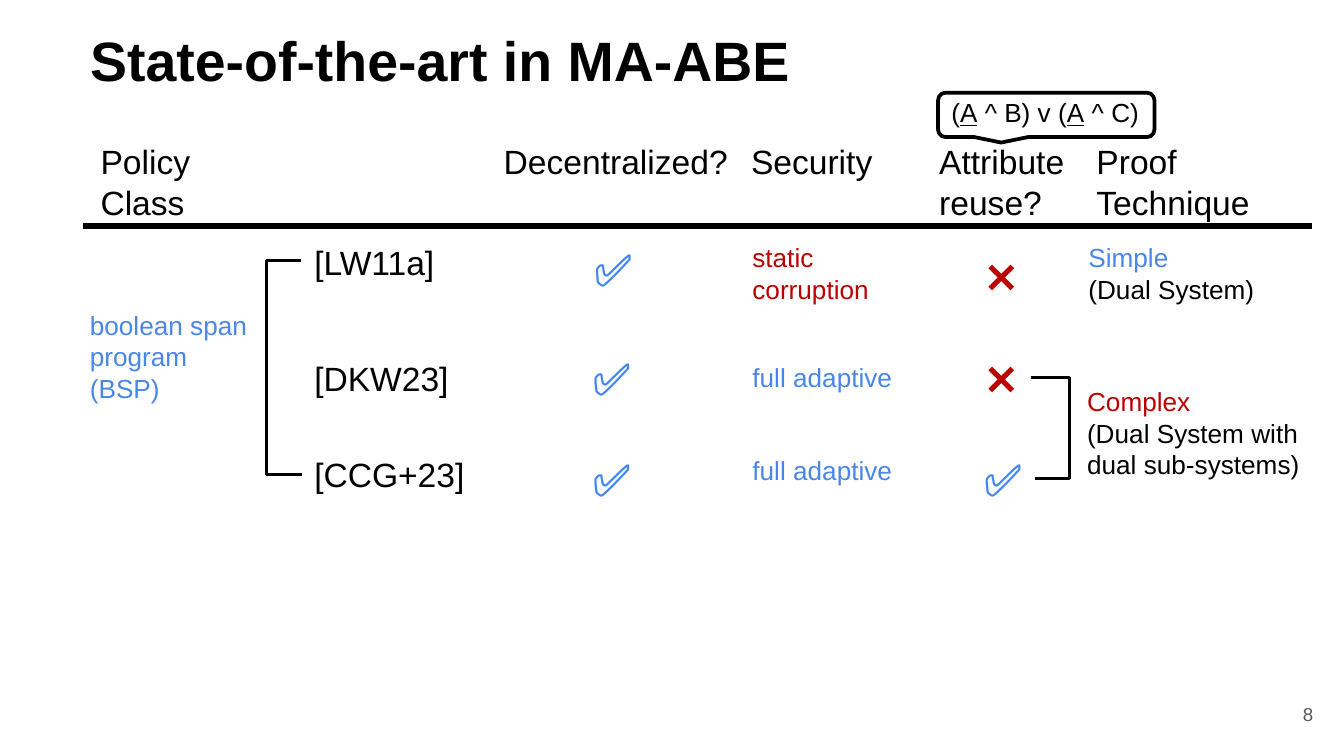
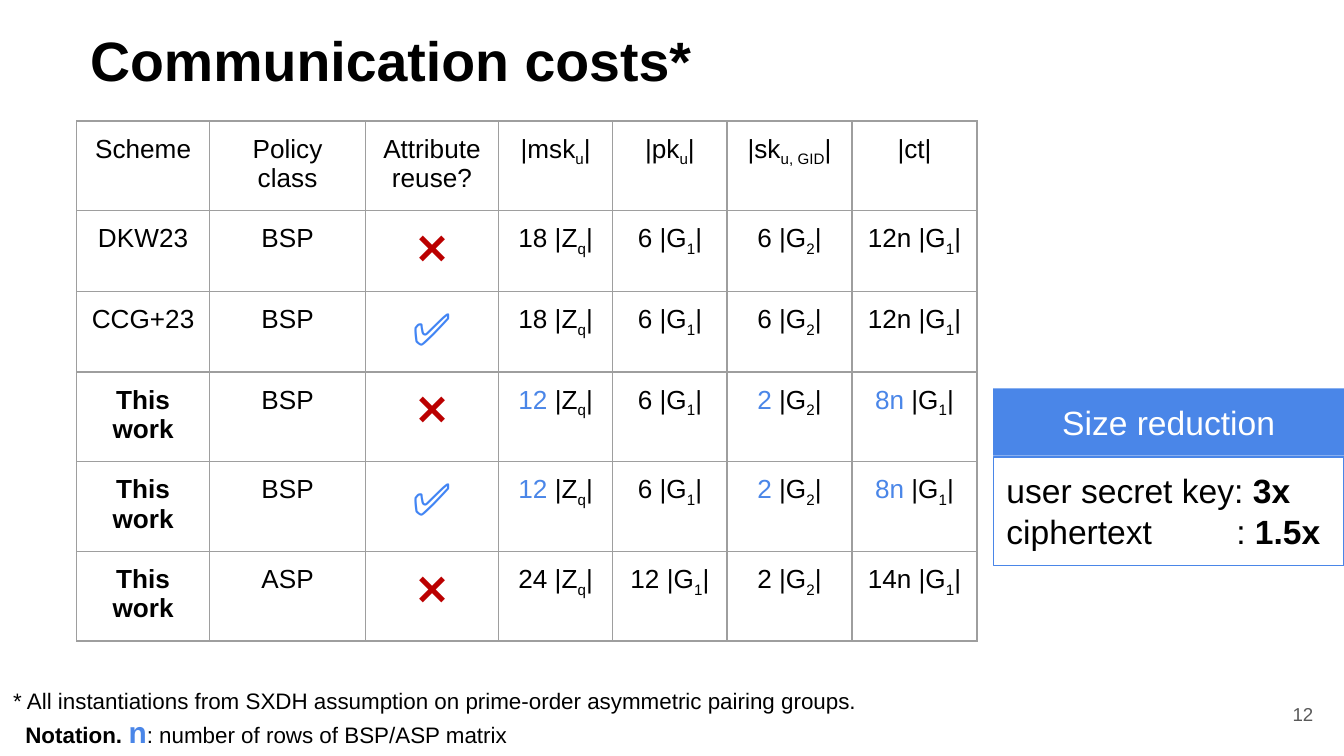
from lxml.etree import SubElement
from pptx import Presentation
from pptx.dml.color import RGBColor
from pptx.enum.shapes import MSO_CONNECTOR, MSO_SHAPE
from pptx.enum.text import MSO_ANCHOR, MSO_AUTO_SIZE, PP_ALIGN
from pptx.oxml.ns import qn
from pptx.util import Inches, Pt

COLORS = {
    "black": "000000", "white": "FFFFFF", "gray": "595959", "grid": "9E9E9E",
    "good": "4A86E8", "check": "4285F4", "bad": "BB0000",
}
FONT = "Arial"
BOLD = {"bold": True}
UNDERLINE = {"underline": True}
SUB = {"sub": True}
GOOD = {"color": "good"}
BAD = {"color": "bad"}
YES = ("✅", {"size": 24, "color": "check", "bold": True})
NO = ("❌", {"size": 24, "color": "bad", "bold": True})


def color(name):
    return RGBColor.from_string(COLORS[name])


def write(frame, paragraphs, size, align=PP_ALIGN.LEFT, inset=0.1):
    """Fill a frame or cell; a paragraph is a list of (text, style) runs.

    A run that ends in a newline is followed by a line break.
    """
    frame.margin_left = frame.margin_right = Inches(0.1)
    frame.margin_top = frame.margin_bottom = Inches(inset)
    text = getattr(frame, "text_frame", frame)
    text.word_wrap = True
    for i, runs in enumerate(paragraphs):
        paragraph = text.paragraphs[0] if i == 0 else text.add_paragraph()
        paragraph.alignment = align
        paragraph.line_spacing = 1.0
        for words, style in runs:
            run = paragraph.add_run()
            run.text = words.rstrip("\n")
            run.font.name = FONT
            run.font.size = Pt(style.get("size", size))
            run.font.bold = style.get("bold", False)
            run.font.color.rgb = color(style.get("color", "black"))
            if style.get("underline"):
                run.font.underline = True
            if style.get("sub"):
                run.font._element.set("baseline", "-25000")
            if words.endswith("\n"):
                paragraph.add_line_break()


prs = Presentation()
prs.slide_width = Inches(10)
prs.slide_height = Inches(10 * 9 / 16)

# Shared frame: title and page number
slides = []
for heading, page in (("State-of-the-art in MA-ABE", "8"), ("Communication costs*", "12")):
    slide = prs.slides.add_slide(prs.slide_layouts[5])
    title = slide.shapes.title
    title.left, title.top = Inches(0.57), Inches(0.09)
    title.width, title.height = Inches(9.43), Inches(0.6)
    title.text_frame.auto_size = MSO_AUTO_SIZE.NONE
    title.text_frame.vertical_anchor = MSO_ANCHOR.TOP
    write(title.text_frame, [[(heading, BOLD)]], 29.7)
    number = slide.shapes.add_textbox(Inches(9.27), Inches(5.1), Inches(0.6), Inches(0.43))
    number.text_frame.vertical_anchor = MSO_ANCHOR.MIDDLE
    write(number.text_frame, [[(page, {"color": "gray"})]], 10, PP_ALIGN.RIGHT)
    slides.append(slide)
overview, costs = slides

# Slide 1: comparison of schemes
labels = [
    # left, top, width, height, size, paragraphs
    (0.65, 0.95, 1.16, 0.81, 18, [[("Policy", {})], [("Class", {})]]),
    (3.65, 0.95, 1.96, 0.5, 18, [[("Decentralized?", {})]]),
    (5.49, 0.95, 1.77, 0.5, 18, [[("Security", {})]]),
    (6.89, 0.95, 1.26, 0.81, 18, [[("Attribute", {})], [("reuse?", {})]]),
    (8.06, 0.95, 1.61, 0.81, 18, [[("Proof Technique", {})]]),
    (0.57, 2.2, 1.48, 0.91, 14, [[("boolean span program (BSP)", GOOD)]]),
    (2.24, 1.7, 1.4, 0.5, 18, [[("[LW11a]", {})]]),
    (2.24, 2.56, 1.37, 0.5, 18, [[("[DKW23]", {})]]),
    (2.24, 3.28, 1.37, 0.5, 18, [[("[CCG+23]", {})]]),
    (5.5, 1.7, 1.4, 0.67, 14, [[("static", BAD)], [("corruption", BAD)]]),
    (5.5, 2.59, 1.37, 0.44, 14, [[("full adaptive", GOOD)]]),
    (5.5, 3.28, 1.37, 0.44, 14, [[("full adaptive", GOOD)]]),
    (8, 1.7, 1.87, 0.67, 14, [[("Simple\n", GOOD), ("(Dual System)", {})]]),
    (7.99, 2.77, 1.87, 0.91, 14,
     [[("Complex\n", BAD), ("(Dual System with dual sub-systems)", {})]]),
    (4.32, 1.7, 0.48, 0.61, 24, [[YES]]),
    (4.31, 2.51, 0.48, 0.61, 24, [[YES]]),
    (4.31, 3.26, 0.48, 0.61, 24, [[YES]]),
    (7.24, 1.75, 0.43, 0.61, 24, [[NO]]),
    (7.24, 2.51, 0.43, 0.61, 24, [[NO]]),
    (7.22, 3.26, 0.48, 0.61, 24, [[YES]]),
]
for left, top, width, height, size, paragraphs in labels:
    label = overview.shapes.add_textbox(Inches(left), Inches(top), Inches(width), Inches(height))
    write(label.text_frame, paragraphs, size)

# Header rule and the two brackets; the bend is where a bracket's spine stands
for x1, y1, x2, y2, weight, bend in (
    (0.62, 1.68, 9.76, 1.68, 3, None),
    (2.24, 1.94, 2.25, 3.53, 1.5, 1.98),
    (7.67, 2.81, 7.7, 3.56, 1.5, 7.96),
):
    kind = MSO_CONNECTOR.ELBOW if bend else MSO_CONNECTOR.STRAIGHT
    stroke = overview.shapes.add_connector(kind, Inches(x1), Inches(y1), Inches(x2), Inches(y2))
    stroke.line.color.rgb = color("black")
    stroke.line.width = Pt(weight)
    properties = stroke._element.spPr
    SubElement(properties, qn("a:effectLst"))
    if bend:
        guides = properties.find(qn("a:prstGeom")).get_or_add_avLst()
        share = round((bend - x1) / (x2 - x1) * 100000)
        SubElement(guides, qn("a:gd"), name="adj1", fmla=f"val {share}")

callout = overview.shapes.add_shape(
    MSO_SHAPE.ROUNDED_RECTANGULAR_CALLOUT, Inches(6.98), Inches(0.69), Inches(1.61), Inches(0.33))
callout.shadow.inherit = False
callout.fill.background()
callout.line.color.rgb = color("black")
callout.line.width = Pt(2)
formula = overview.shapes.add_textbox(Inches(6.98), Inches(0.67), Inches(1.61), Inches(0.34))
write(formula.text_frame, [[("(", {}), ("A", UNDERLINE), (" ^ B) v (", {}),
                            ("A", UNDERLINE), (" ^ C)", {})]], 14, inset=0.05)
formula.text_frame.word_wrap = False

# Slide 2: table of sizes; rows grow to fit their text
column_widths = [0.99, 1.16, 0.99, 0.85, 0.85, 0.93, 0.93]
row_height = 0.42
groups = [("Z", "q"), ("G", "1"), ("G", "2"), ("G", "1")]
schemes = [
    # scheme, policy class, attribute reuse, factors, indices of improved factors
    ("DKW23", "BSP", NO, ["18", "6", "6", "12n"], ()),
    ("CCG+23", "BSP", YES, ["18", "6", "6", "12n"], ()),
    ("This work", "BSP", NO, ["12", "6", "2", "8n"], (0, 2, 3)),
    ("This work", "BSP", YES, ["12", "6", "2", "8n"], (0, 2, 3)),
    ("This work", "ASP", NO, ["24", "12", "2", "14n"], ()),
]
grid = [[
    [("Scheme", {})], [("Policy class", {})], [("Attribute reuse?", {})],
    [("|msk", {}), ("u", SUB), ("|", {})],
    [("|pk", {}), ("u", SUB), ("|", {})],
    [("|sk", {}), ("u, GID", SUB), ("|", {})],
    [("|ct|", {})],
]]
for scheme, policy, reuse, factors, improved in schemes:
    row = [[(scheme, BOLD if scheme == "This work" else {})], [(policy, {})], [reuse]]
    for i, (factor, (group, index)) in enumerate(zip(factors, groups)):
        if i in improved:
            amount = [(factor, GOOD), (f" |{group}", {})]
        else:
            amount = [(f"{factor} |{group}", {})]
        row.append(amount + [(index, SUB), ("|", {})])
    grid.append(row)

sizes = costs.shapes.add_table(
    len(grid), len(column_widths), Inches(0.57), Inches(0.9),
    Inches(sum(column_widths)), Inches(row_height * len(grid))).table
sizes.first_row = False
sizes.horz_banding = False
for column, width in zip(sizes.columns, column_widths):
    column.width = Inches(width)
for r, row in enumerate(grid):
    for c, runs in enumerate(row):
        cell = sizes.cell(r, c)
        write(cell, [runs], 14, PP_ALIGN.CENTER)
        properties = cell._tc.get_or_add_tcPr()
        for side in ("a:lnL", "a:lnR", "a:lnT", "a:lnB"):
            border = SubElement(properties, qn(side), w=str(Pt(0.75)))
            paint = SubElement(border, qn("a:solidFill"))
            SubElement(paint, qn("a:srgbClr"), val=COLORS["grid"])
        cell.fill.background()

# Size reduction panel
savings = costs.shapes.add_shape(
    MSO_SHAPE.RECTANGLE, Inches(7.39), Inches(3.4), Inches(2.61), Inches(0.81))
savings.fill.background()
savings.line.color.rgb = color("good")
savings.line.width = Pt(0.75)
write(savings.text_frame, [[("user secret key: ", {}), ("3x", BOLD)],
                           [("ciphertext\t: ", {}), ("1.5x", BOLD)]], 18)
tabs = SubElement(savings.text_frame.paragraphs[1]._p.get_or_add_pPr(), qn("a:tabLst"))
SubElement(tabs, qn("a:tab"), pos=str(Inches(1.71)), algn="l")

savings_header = costs.shapes.add_shape(
    MSO_SHAPE.RECTANGLE, Inches(7.39), Inches(2.89), Inches(2.61), Inches(0.5))
savings_header.fill.solid()
savings_header.fill.fore_color.rgb = color("good")
savings_header.line.fill.background()
write(savings_header.text_frame, [[("Size reduction", {"color": "white"})]], 18, PP_ALIGN.CENTER)
for panel in (savings, savings_header):
    panel.shadow.inherit = False
    panel.text_frame.vertical_anchor = MSO_ANCHOR.TOP

footnote = costs.shapes.add_textbox(Inches(0), Inches(5.01), Inches(8.95), Inches(0.67))
write(footnote.text_frame, [
    [("* All instantiations from SXDH assumption on prime-order asymmetric pairing groups.", {})],
    [("Notation. ", BOLD), ("n", {"size": 16, "color": "good", "bold": True}),
     (": number of rows of BSP/ASP matrix", {})],
], 12)
footnote.text_frame.paragraphs[1]._p.get_or_add_pPr().set("marL", str(Inches(0.09)))

prs.save("out.pptx")
